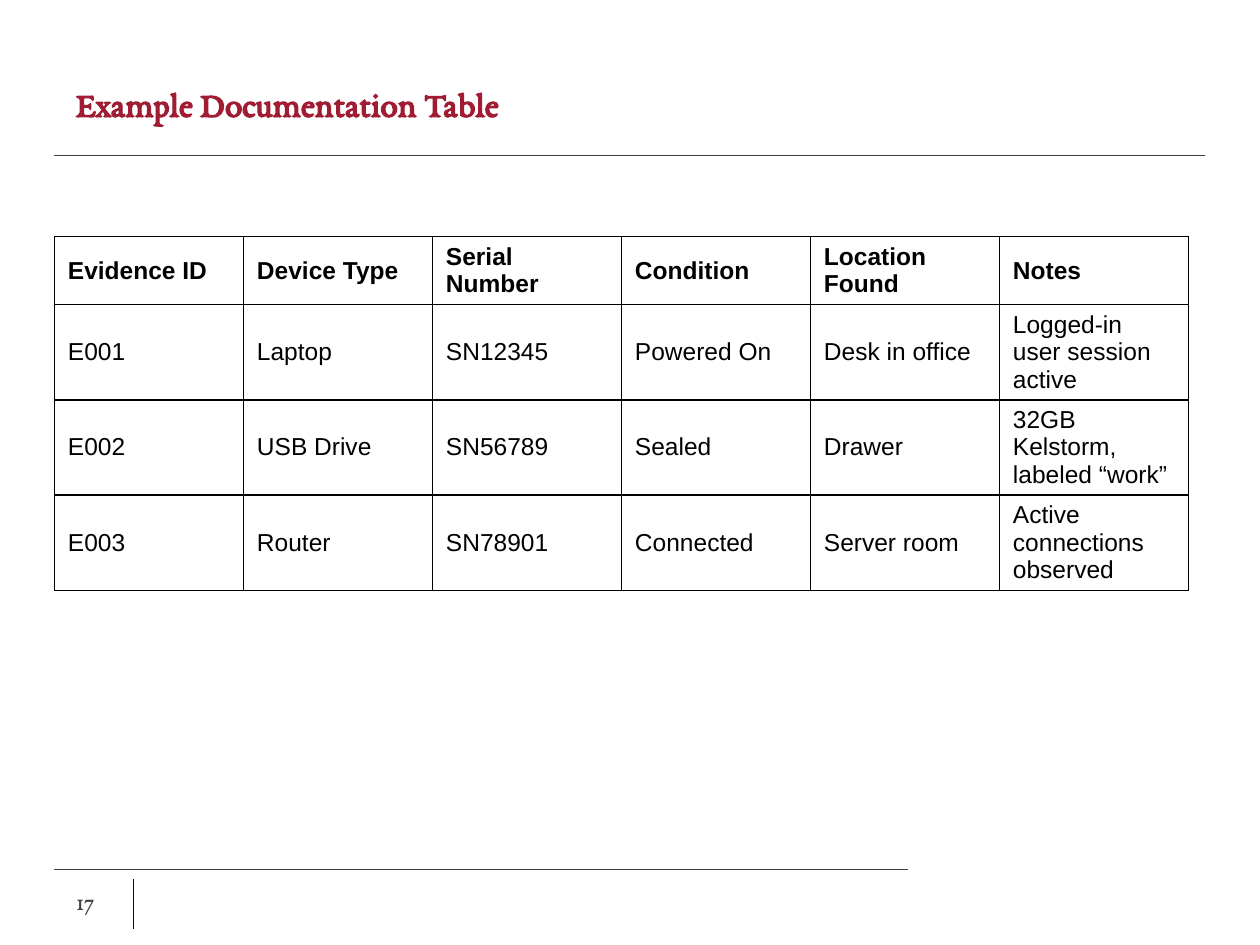
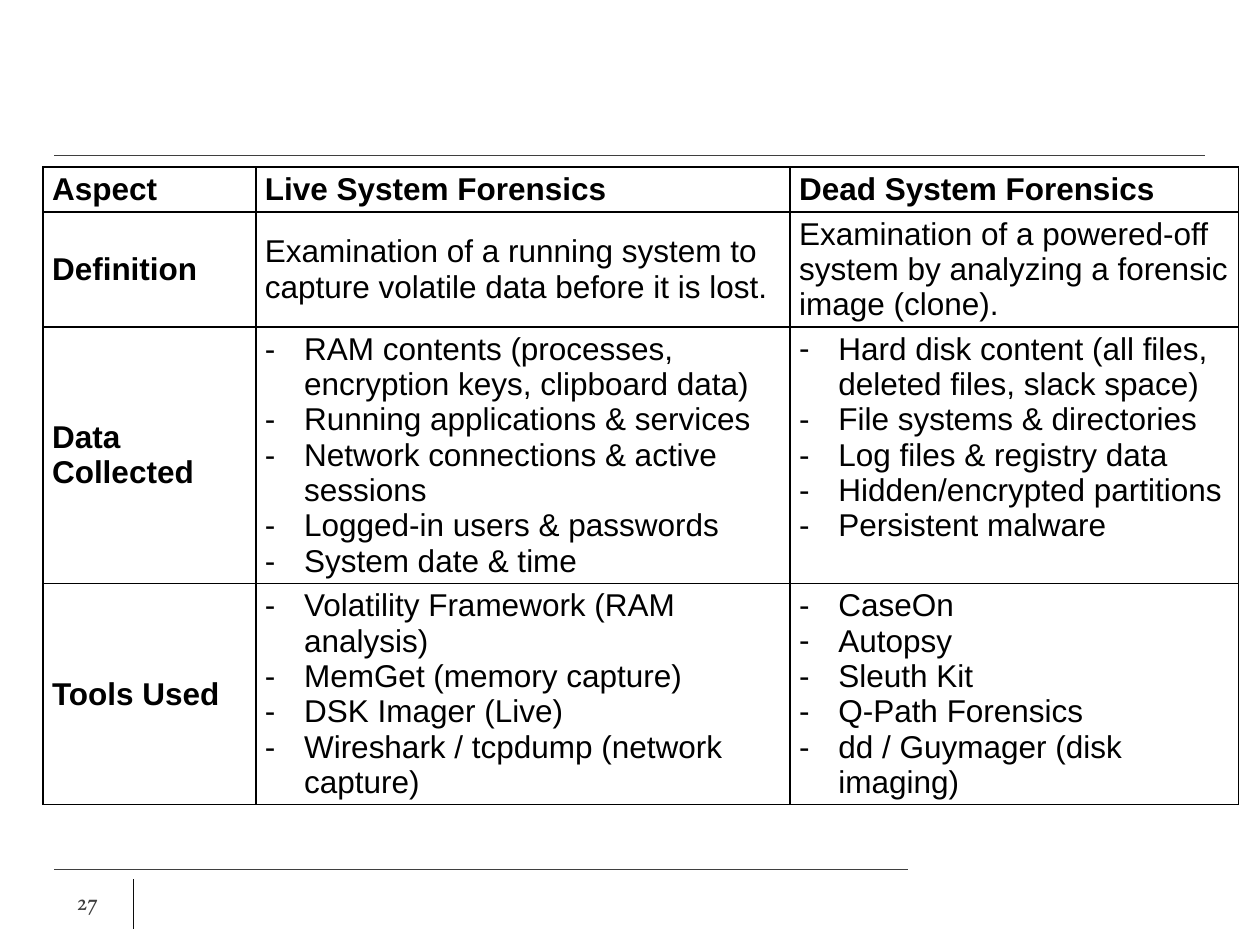
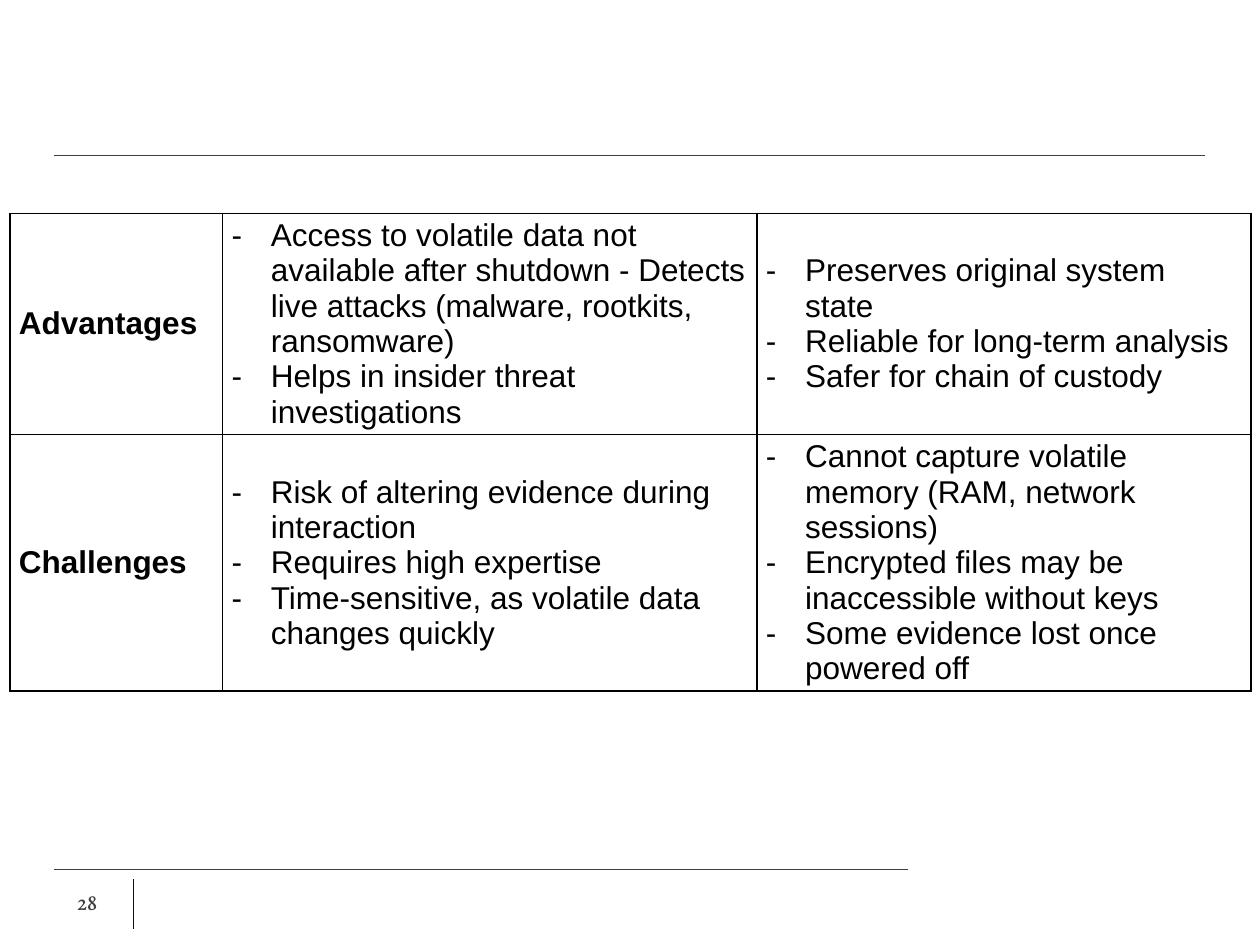
from dataclasses import dataclass

from lxml.etree import SubElement
from pptx import Presentation
from pptx.dml.color import RGBColor
from pptx.enum.shapes import MSO_CONNECTOR
from pptx.enum.text import MSO_ANCHOR
from pptx.oxml.ns import qn
from pptx.util import Cm, Pt


@dataclass(frozen=True)
class Theme:
    red: str = "9F1C33"
    gray: str = "3F3F3F"
    dark: str = "0C0C0C"
    black: str = "000000"
    serif: str = "EB Garamond"
    sans: str = "Arial"
    title: int = 20
    small: int = 14
    large: int = 18
    rule: float = 0.75
    grid: float = 1
    indent: float = 0.79
    lead: float = 1.12


THEME = Theme()

# Content: a string is plain text, a list is a set of dash bullets
LOG = [
    ["Evidence ID", "Device Type", "Serial Number", "Condition", "Location Found", "Notes"],
    ["E001", "Laptop", "SN12345", "Powered On", "Desk in office", "Logged-in user session active"],
    ["E002", "USB Drive", "SN56789", "Sealed", "Drawer", "32GB Kelstorm, labeled “work”"],
    ["E003", "Router", "SN78901", "Connected", "Server room", "Active connections observed"],
]
METHODS = [
    ["Aspect", "Live System Forensics", "Dead System Forensics"],
    ["Definition",
     "Examination of a running system to capture volatile data before it is lost.",
     "Examination of a powered-off system by analyzing a forensic image (clone)."],
    ["Data Collected",
     ["RAM contents (processes, encryption keys, clipboard data)",
      "Running applications & services",
      "Network connections & active sessions",
      "Logged-in users & passwords",
      "System date & time"],
     ["Hard disk content (all files, deleted files, slack space)",
      "File systems & directories",
      "Log files & registry data",
      "Hidden/encrypted partitions",
      "Persistent malware"]],
    ["Tools Used",
     ["Volatility Framework (RAM analysis)",
      "MemGet (memory capture)",
      "DSK Imager (Live)",
      "Wireshark / tcpdump (network capture)"],
     ["CaseOn",
      "Autopsy",
      "Sleuth Kit",
      "Q-Path Forensics",
      "dd / Guymager (disk imaging)"]],
]
TRADES = [
    ["Advantages",
     ["Access to volatile data not available after shutdown - Detects live attacks "
      "(malware, rootkits, ransomware)",
      "Helps in insider threat investigations"],
     ["Preserves original system state",
      "Reliable for long-term analysis",
      "Safer for chain of custody"]],
    ["Challenges",
     ["Risk of altering evidence during interaction",
      "Requires high expertise",
      "Time-sensitive, as volatile data changes quickly"],
     ["Cannot capture volatile memory (RAM, network sessions)",
      "Encrypted files may be inaccessible without keys",
      "Some evidence lost once powered off"]],
]

# Lengths in cm; pad is the side and top inset of a cell
SLIDES = [
    dict(page=17, title="Example Documentation Table", rows=LOG, at=(1.1, 4.77),
         cols=[3.81] * 6, tall=[1.37] + [1.92] * 3, pad=(0.27, 0.12),
         size=THEME.small, head=True, side=False, top=()),
    dict(page=27, title=None, rows=METHODS, at=(0.87, 3.37),
         cols=[4.29, 10.77, 9.04], tall=[0.9, 2.32, 5.16, 4.45], pad=(0.18, 0.09),
         size=THEME.large, head=True, side=True, top=((2, 2),)),
    dict(page=28, title=None, rows=TRADES, at=(0.2, 4.3),
         cols=[4.29, 10.77, 9.96], tall=[4.45, 5.16], pad=(0.18, 0.09),
         size=THEME.large, head=False, side=True, top=()),
]
RULES = [
    (1.09, 3.13, 24.3, 3.13, THEME.gray),
    (1.09, 17.53, 18.3, 17.53, THEME.gray),
    (2.69, 17.72, 2.69, 18.72, THEME.dark),
]


def style(para, size, face, color, bold=False):
    for run in para.runs:
        font = run.font
        font.size, font.name, font.bold = Pt(size), face, bold
        font.color.rgb = RGBColor.from_string(color)
        for tag in ("a:ea", "a:cs"):
            SubElement(run._r.get_or_add_rPr(), qn(tag), typeface=face)


def label(slide, text, box, size, color, bold=False):
    frame = slide.shapes.add_textbox(*map(Cm, box)).text_frame
    frame.word_wrap = True
    frame.vertical_anchor = MSO_ANCHOR.MIDDLE
    frame.text = text
    style(frame.paragraphs[0], size, THEME.serif, color, bold)


def dress(slide, page, title):
    """Add the rules, page number and optional title."""
    for *ends, color in RULES:
        line = slide.shapes.add_connector(MSO_CONNECTOR.STRAIGHT, *map(Cm, ends))
        line.line.width = Pt(THEME.rule)
        line.line.color.rgb = RGBColor.from_string(color)
        SubElement(line._element.spPr, qn("a:effectLst"))
    if title:
        label(slide, title, (1.28, 0.93, 22.86, 2.29), THEME.title, THEME.red, True)
    label(slide, str(page), (1.3, 17.65, 1.32, 1.02), THEME.small, THEME.gray)


def paint(parent, tag):
    node = SubElement(parent, qn(tag))
    SubElement(node, qn("a:srgbClr"), val=THEME.black)


def border(cell):
    props = cell._tc.get_or_add_tcPr()
    for edge in ("a:lnL", "a:lnR", "a:lnT", "a:lnB"):
        line = SubElement(props, qn(edge), w=str(Pt(THEME.grid)))
        paint(line, "a:solidFill")


def bullet(para):
    props = para._p.get_or_add_pPr()
    props.set("marL", str(Cm(THEME.indent)))
    props.set("indent", str(-Cm(THEME.indent)))
    paint(props, "a:buClr")
    SubElement(props, qn("a:buFont"), typeface=THEME.sans)
    SubElement(props, qn("a:buChar"), char="-")


def fill(cell, value, size, bold, pad, top):
    border(cell)
    cell.fill.background()
    cell.margin_left = cell.margin_right = Cm(pad[0])
    cell.margin_top = cell.margin_bottom = Cm(pad[1])
    cell.vertical_anchor = MSO_ANCHOR.TOP if top else MSO_ANCHOR.MIDDLE
    listed = isinstance(value, list)
    cell.text_frame.text = "\n".join(value) if listed else value
    for para in cell.text_frame.paragraphs:
        if listed:
            bullet(para)
        para.line_spacing = Pt(round(size * THEME.lead, 1))
        style(para, size, THEME.sans, THEME.black, bold)


def grid(slide, data):
    rows, cols, tall = data["rows"], data["cols"], data["tall"]
    box = (*data["at"], sum(cols), sum(tall))
    table = slide.shapes.add_table(len(rows), len(cols), *map(Cm, box)).table
    table.first_row = table.horz_banding = False
    for col, width in zip(table.columns, cols):
        col.width = Cm(width)
    for row, height in zip(table.rows, tall):
        row.height = Cm(height)
    for r, row in enumerate(rows):
        for c, value in enumerate(row):
            bold = (data["head"] and r == 0) or (data["side"] and c == 0)
            fill(table.cell(r, c), value, data["size"], bold, data["pad"],
                 (r, c) in data["top"])


def main():
    deck = Presentation()
    deck.slide_width, deck.slide_height = Cm(25.4), Cm(19.05)
    for data in SLIDES:
        slide = deck.slides.add_slide(deck.slide_layouts[6])
        dress(slide, data["page"], data["title"])
        grid(slide, data)
    deck.save("out.pptx")


if __name__ == "__main__":
    main()
